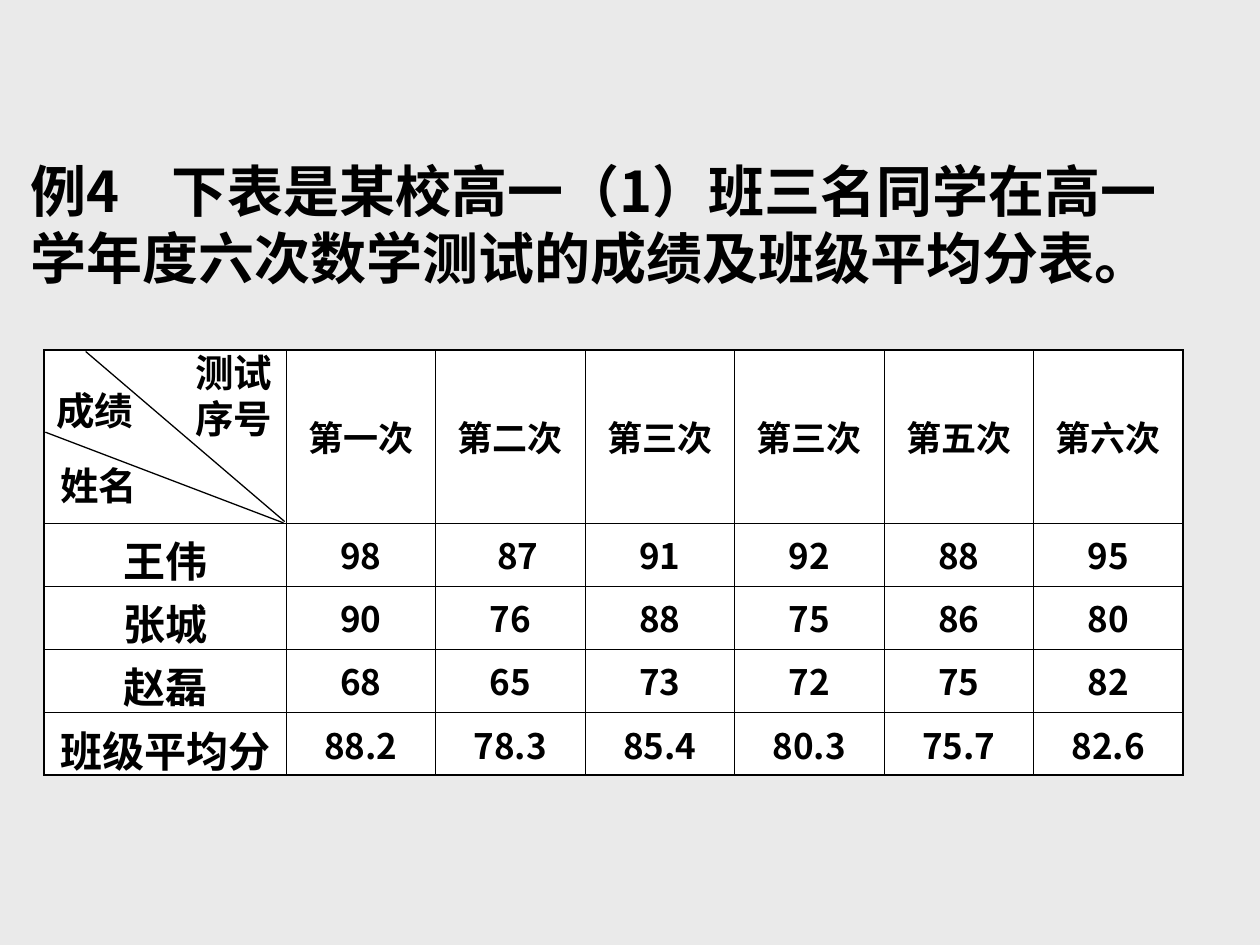
from dataclasses import dataclass

from lxml.etree import SubElement
from pptx import Presentation
from pptx.dml.color import RGBColor
from pptx.enum.shapes import MSO_CONNECTOR as Connector
from pptx.enum.text import MSO_ANCHOR as Anchor, PP_ALIGN as Align
from pptx.oxml.ns import qn
from pptx.util import Inches, Pt

COLORS = {"background": "EAEAEA", "ink": "000000", "cell": "FFFFFF"}
MAIN_FONT = "Noto Sans CJK SC"
LABEL_FONT = "DejaVu Sans"
TABLE_LEFT, TABLE_TOP, TABLE_WIDTH = 0.35, 2.78, 9.04
NAME_WIDTH, HEADER_HEIGHT, ROW_HEIGHT = 1.92, 1.37, 0.5
THIN, THICK = 0.45, 1.08
ROWS = (
    ("", "第一次", "第二次", "第三次", "第三次", "第五次", "第六次"),
    ("王伟", "98", "87", "91", "92", "88", "95"),
    ("张城", "90", "76", "88", "75", "86", "80"),
    ("赵磊", "68", "65", "73", "72", "75", "82"),
    ("班级平均分", "88.2", "78.3", "85.4", "80.3", "75.7", "82.6"),
)
INDENTED_SCORE = (1, 2)


@dataclass(frozen=True)
class TextBox:
    text: str
    left: float
    top: float
    width: float
    height: float
    size: float = 22
    font: str = LABEL_FONT
    tab: float | None = None


@dataclass(frozen=True)
class Line:
    start: tuple[float, float]
    end: tuple[float, float]


TITLE = TextBox(
    "例4\t下表是某校高一（1）班三名同学在高一学年度六次数学测试的成绩及班级平均分表。",
    0.14, 1.19, 9.58, 1.17, size=32, font=MAIN_FONT, tab=1.12,
)
CORNER_LINES = (
    Line((2.25, 4.15), (0.36, 3.43)),
    Line((2.26, 4.14), (0.68, 2.79)),
)
CORNER_LABELS = (
    TextBox("姓名", 0.38, 3.62, 1.37, 0.47),
    TextBox("成绩", 0.35, 3.02, 1.37, 0.47),
    TextBox("测试\n序号", 1.45, 2.72, 1.37, 0.84),
)


def color(name: str) -> RGBColor:
    return RGBColor.from_string(COLORS[name])


def write_text(frame, text: str, *, size: float, font: str = MAIN_FONT,
               align: Align = Align.LEFT, tab: float | None = None) -> None:
    frame.word_wrap = True
    for index, line in enumerate(text.split("\n")):
        paragraph = frame.add_paragraph() if index else frame.paragraphs[0]
        paragraph.alignment = align
        if tab is not None:
            tabs = SubElement(paragraph._p.get_or_add_pPr(), qn("a:tabLst"))
            SubElement(tabs, qn("a:tab"), pos=str(Inches(tab)), algn="l")
        run = paragraph.add_run()
        run.text = line
        run.font.size = Pt(size)
        run.font.bold = True
        run.font.color.rgb = color("ink")
        run.font.name = font
        SubElement(run._r.get_or_add_rPr(), qn("a:ea"), typeface=font)


def add_text_box(slide, box: TextBox) -> None:
    shape = slide.shapes.add_textbox(
        Inches(box.left), Inches(box.top), Inches(box.width), Inches(box.height))
    write_text(shape.text_frame, box.text, size=box.size, font=box.font, tab=box.tab)


def add_line(slide, line: Line) -> None:
    connector = slide.shapes.add_connector(
        Connector.STRAIGHT, *map(Inches, line.start + line.end))
    connector.line.color.rgb = color("ink")
    connector.line.width = Pt(0.75)
    SubElement(connector._element.spPr, qn("a:effectLst"))


def set_borders(cell, widths: dict[str, float]) -> None:
    properties = cell._tc.get_or_add_tcPr()
    for position, (side, width) in enumerate(widths.items()):
        border = SubElement(properties, qn(f"a:ln{side}"), w=str(Pt(width)))
        fill = SubElement(border, qn("a:solidFill"))
        SubElement(fill, qn("a:srgbClr"), val=COLORS["ink"])
        properties.insert(position, border)


def add_score_table(slide) -> None:
    row_count, column_count = len(ROWS), len(ROWS[0])
    height = HEADER_HEIGHT + ROW_HEIGHT * (row_count - 1)
    table = slide.shapes.add_table(
        row_count, column_count, Inches(TABLE_LEFT), Inches(TABLE_TOP),
        Inches(TABLE_WIDTH), Inches(height)).table
    score_width = (TABLE_WIDTH - NAME_WIDTH) / (column_count - 1)
    for index, column in enumerate(table.columns):
        column.width = Inches(score_width if index else NAME_WIDTH)
    for row_index, values in enumerate(ROWS):
        table.rows[row_index].height = Inches(ROW_HEIGHT if row_index else HEADER_HEIGHT)
        for column_index, value in enumerate(values):
            cell = table.cell(row_index, column_index)
            cell.vertical_anchor = Anchor.MIDDLE
            cell.fill.solid()
            cell.fill.fore_color.rgb = color("cell")
            if (row_index, column_index) == INDENTED_SCORE:
                cell.margin_left = Inches(0.22)
            if value:
                write_text(cell.text_frame, value, size=20 if column_index else 24,
                           align=Align.CENTER)
            set_borders(cell, {
                "L": THIN if column_index else THICK,
                "R": THICK if column_index == column_count - 1 else THIN,
                "T": THIN if row_index else THICK,
                "B": THICK if row_index == row_count - 1 else THIN,
            })


def main() -> None:
    presentation = Presentation()
    presentation.slide_width = Inches(10)
    presentation.slide_height = Inches(7.5)
    slide = presentation.slides.add_slide(presentation.slide_layouts[6])
    slide.background.fill.solid()
    slide.background.fill.fore_color.rgb = color("background")
    add_text_box(slide, TITLE)
    add_score_table(slide)
    for line in CORNER_LINES:
        add_line(slide, line)
    for label in CORNER_LABELS:
        add_text_box(slide, label)
    presentation.save("out.pptx")


if __name__ == "__main__":
    main()
